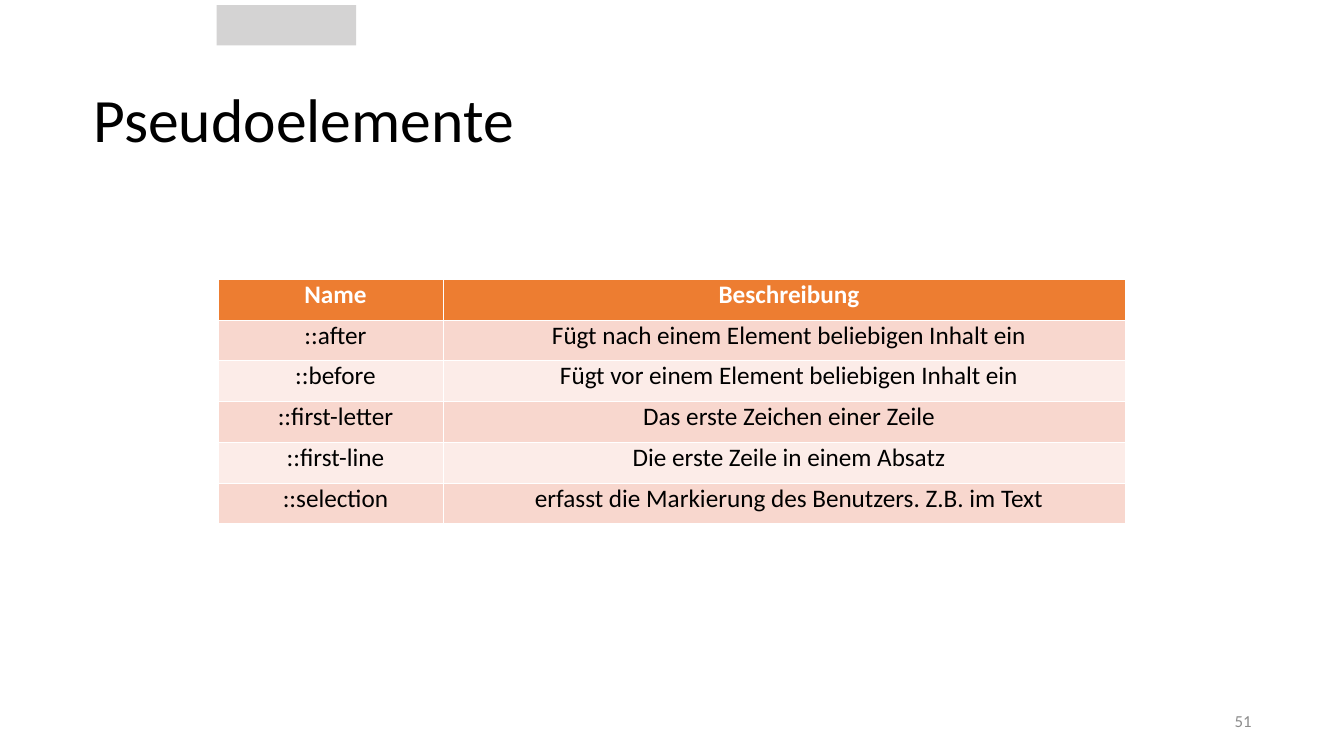
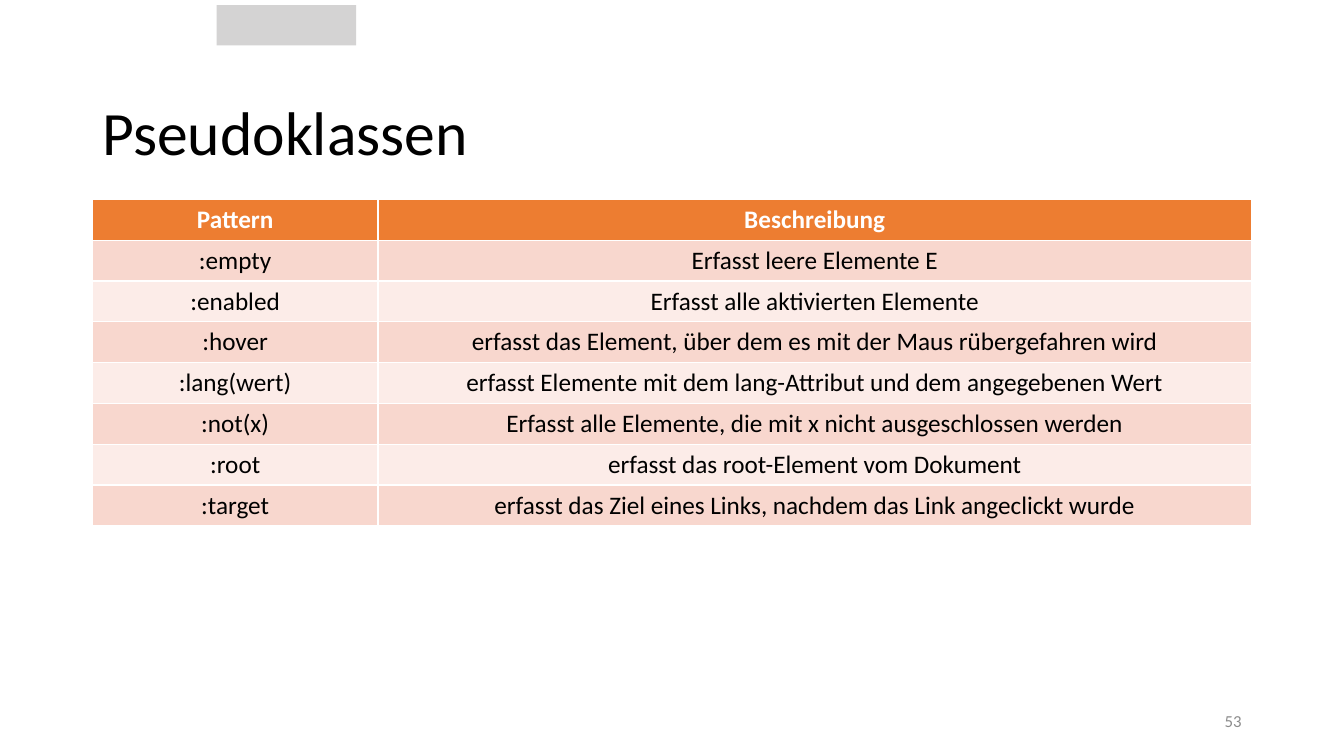
"""Build two slides with tables of CSS pseudo-elements and pseudo-classes."""
from dataclasses import dataclass, field

from pptx import Presentation
from pptx.dml.color import RGBColor
from pptx.enum.shapes import MSO_SHAPE as Preset
from pptx.enum.text import MSO_ANCHOR as Anchor, PP_ALIGN as Align
from pptx.presentation import Presentation as Deck
from pptx.slide import Slide
from pptx.util import Emu, Inches, Pt

COLUMNS, ROWS = 160, 90
UNIT = Inches(1) / 12


@dataclass(frozen=True)
class Theme:
    font: str = "Calibri"
    text: str = "000000"
    header_text: str = "FFFFFF"
    number_text: str = "8C8C8C"
    tab: str = "D4D3D3"
    header: str = "ED7D31"
    bands: tuple[str, str] = ("F8D7CE", "FCECE8")
    title_size: int = 44
    table_size: int = 18
    number_size: int = 12


@dataclass(frozen=True)
class Box:
    """A place on the grid, in columns and rows."""
    left: float
    top: float
    width: float
    height: float

    def lengths(self) -> tuple[Emu, Emu, Emu, Emu]:
        return grid(self.left), grid(self.top), grid(self.width), grid(self.height)


@dataclass(frozen=True)
class Insets:
    """Text margins in inches."""
    left: float = 0.1
    top: float = 0.05
    right: float = 0.1
    bottom: float = 0.05


@dataclass(frozen=True)
class TableSlide:
    title: str
    number: str
    title_box: Box
    title_insets: Insets
    number_insets: Insets
    table_left: float
    table_top: float
    column_widths: tuple[float, float]
    rows: tuple[tuple[str, str], ...]
    title_spacing: float = 1.0
    cell_insets: Insets = field(default_factory=Insets)
    cell_anchor: Anchor = Anchor.MIDDLE


THEME = Theme()
TAB_BOX = Box(25.8, 0.6, 16.6, 4.8)
NUMBER_BOX = Box(113, 83.4, 36, 4.8)
ROW_HEIGHT = 4.86

SLIDES = (
    TableSlide(
        title="Pseudoelemente",
        number="51",
        title_box=Box(11, 9.6, 138, 8.9),
        title_insets=Insets(0.01, 0, 0, 0),
        number_insets=Insets(0, 0, 0, 0),
        table_left=26,
        table_top=33.25,
        column_widths=(26.8, 81.2),
        cell_insets=Insets(0.09, 0, 0, 0),
        cell_anchor=Anchor.TOP,
        rows=(
            ("Name", "Beschreibung"),
            ("::after", "Fügt nach einem Element beliebigen Inhalt ein"),
            ("::before", "Fügt vor einem Element beliebigen Inhalt ein"),
            ("::first-letter", "Das erste Zeichen einer Zeile"),
            ("::first-line", "Die erste Zeile in einem Absatz"),
            ("::selection", "erfasst die Markierung des Benutzers. Z.B. im Text"),
        ),
    ),
    TableSlide(
        title="Pseudoklassen",
        number="53",
        title_box=Box(11, 6, 138, 16.2),
        title_insets=Insets(top=0.39),
        title_spacing=0.9,
        number_insets=Insets(),
        table_left=11,
        table_top=23.75,
        column_widths=(34, 104),
        rows=(
            ("Pattern", "Beschreibung"),
            (":empty", "Erfasst leere Elemente E"),
            (":enabled", "Erfasst alle aktivierten Elemente"),
            (":hover", "erfasst das Element, über dem es mit der Maus rübergefahren wird"),
            (":lang(wert)", "erfasst Elemente mit dem lang-Attribut und dem angegebenen Wert"),
            (":not(x)", "Erfasst alle Elemente, die mit x nicht ausgeschlossen werden"),
            (":root", "erfasst das root-Element vom Dokument"),
            (":target", "erfasst das Ziel eines Links, nachdem das Link angeclickt wurde"),
        ),
    ),
)


def grid(units: float) -> Emu:
    return Emu(round(units * UNIT))


def set_insets(target, insets: Insets) -> None:
    target.margin_left = Inches(insets.left)
    target.margin_top = Inches(insets.top)
    target.margin_right = Inches(insets.right)
    target.margin_bottom = Inches(insets.bottom)


def write(text_frame, text: str, size: int, color: str, align: Align,
          bold: bool = False, spacing: float = 1.0) -> None:
    text_frame.text = text
    paragraph = text_frame.paragraphs[0]
    paragraph.alignment = align
    paragraph.line_spacing = spacing
    for run in paragraph.runs:
        run.font.name = THEME.font
        run.font.size = Pt(size)
        run.font.bold = bold
        run.font.color.rgb = RGBColor.from_string(color)


def add_tab(slide: Slide) -> None:
    shape = slide.shapes.add_shape(Preset.RECTANGLE, *TAB_BOX.lengths())
    shape.shadow.inherit = False
    shape.fill.solid()
    shape.fill.fore_color.rgb = RGBColor.from_string(THEME.tab)
    shape.line.fill.background()


def add_text(slide: Slide, box: Box, insets: Insets, text: str, size: int,
             color: str, align: Align, spacing: float = 1.0) -> None:
    text_frame = slide.shapes.add_textbox(*box.lengths()).text_frame
    text_frame.word_wrap = True
    text_frame.vertical_anchor = Anchor.MIDDLE
    set_insets(text_frame, insets)
    write(text_frame, text, size, color, align, spacing=spacing)


def add_table(slide: Slide, content: TableSlide) -> None:
    row_count = len(content.rows)
    box = Box(content.table_left, content.table_top,
              sum(content.column_widths), row_count * ROW_HEIGHT)
    table = slide.shapes.add_table(
        row_count, len(content.column_widths), *box.lengths()).table
    for column, width in zip(table.columns, content.column_widths):
        column.width = grid(width)
    for index, (row, texts) in enumerate(zip(table.rows, content.rows)):
        row.height = grid(ROW_HEIGHT)
        is_header = index == 0
        fill = THEME.header if is_header else THEME.bands[(index - 1) % 2]
        color = THEME.header_text if is_header else THEME.text
        for cell, text in zip(row.cells, texts):
            cell.fill.solid()
            cell.fill.fore_color.rgb = RGBColor.from_string(fill)
            cell.vertical_anchor = content.cell_anchor
            set_insets(cell, content.cell_insets)
            write(cell.text_frame, text, THEME.table_size, color,
                  Align.CENTER, bold=is_header)


def add_table_slide(presentation: Deck, content: TableSlide) -> None:
    slide = presentation.slides.add_slide(presentation.slide_layouts[6])
    add_tab(slide)
    add_text(slide, content.title_box, content.title_insets, content.title,
             THEME.title_size, THEME.text, Align.LEFT, content.title_spacing)
    add_table(slide, content)
    add_text(slide, NUMBER_BOX, content.number_insets, content.number,
             THEME.number_size, THEME.number_text, Align.RIGHT)


def main() -> None:
    presentation = Presentation()
    presentation.slide_width = grid(COLUMNS)
    presentation.slide_height = grid(ROWS)
    for content in SLIDES:
        add_table_slide(presentation, content)
    presentation.save("out.pptx")


if __name__ == "__main__":
    main()
